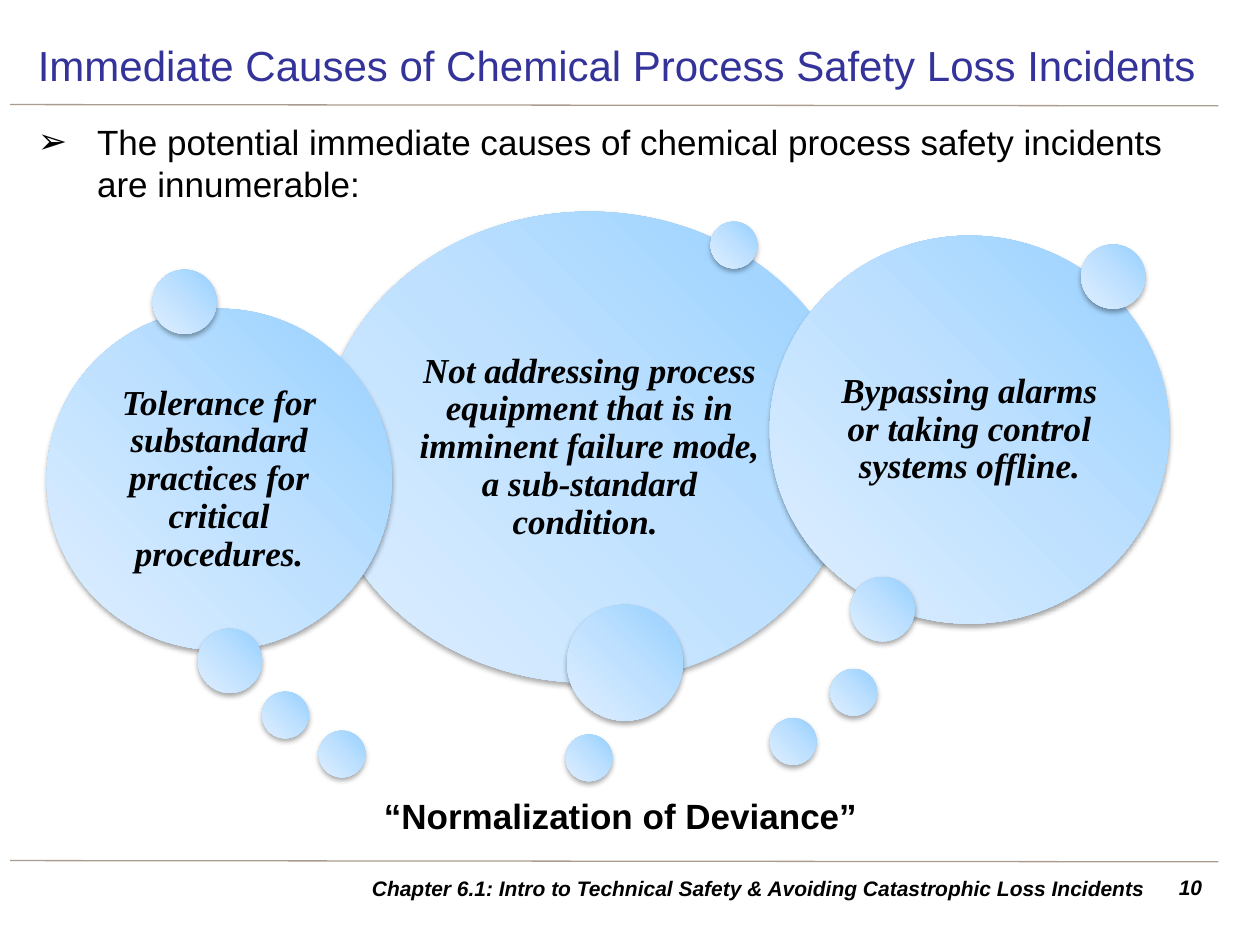
from typing import NamedTuple

from lxml import etree
from pptx import Presentation
from pptx import util as u
from pptx.dml.color import RGBColor
from pptx.enum import shapes, text
from pptx.oxml.ns import qn

INK = {"title": "333399", "text": "000000", "rule": "AA9C8F", "shadow": "000000"}
SKY = {0: "96D0FF", 50: "BFE1FF", 100: "E0EFFF"}
SMALL, MID, LARGE = 0.37, 0.51, 0.92


class Bubble(NamedTuple):
    left: float
    top: float
    width: float
    height: float
    words: str = ""


def dot(left: float, top: float, size: float = SMALL) -> Bubble:
    return Bubble(left, top, size, size)


# Back to front
BUBBLES = [
    Bubble(2.55, 1.68, 4.26, 3.74, "Not addressing process equipment that is in "
           "imminent failure mode, a sub-standard condition. "),
    dot(4.49, 5.83),
    dot(5.64, 1.76),
    dot(2.53, 5.8),
    Bubble(0.37, 2.45, 2.74, 2.71,
           "Tolerance for substandard practices for critical procedures."),
    dot(1.21, 2.14, MID),
    dot(4.5, 4.8, LARGE),
    Bubble(6.11, 1.87, 3.17, 3.08,
           "Bypassing alarms or taking control systems offline."),
    dot(6.75, 4.58, MID),
    dot(6.11, 5.7),
    dot(6.59, 5.31),
    dot(1.57, 4.99, MID),
    dot(8.58, 1.94, MID),
    dot(2.08, 5.49),
]


def node(parent, tag: str, **attrs):
    return etree.SubElement(parent, qn(tag), {k: str(v) for k, v in attrs.items()})


def place(shape, left: float, top: float, width: float, height: float) -> None:
    shape.left, shape.top = u.Inches(left), u.Inches(top)
    shape.width, shape.height = u.Inches(width), u.Inches(height)


def write(shape, words: str, size: int = 20, face: str = "Arial", ink: str = "text",
          bold: bool = False, italic: bool = False, align: str = "LEFT",
          anchor: str = "TOP", lines: float = 1.0, bullet: str = "",
          inset: tuple = (0.1, 0.05)) -> None:
    frame = shape.text_frame
    frame.word_wrap = True
    frame.auto_size = text.MSO_AUTO_SIZE.NONE
    frame.vertical_anchor = text.MSO_ANCHOR[anchor]
    frame.margin_left = frame.margin_right = u.Inches(inset[0])
    frame.margin_top = frame.margin_bottom = u.Inches(inset[1])
    para = frame.paragraphs[0]
    para.alignment = text.PP_ALIGN[align]
    para.line_spacing = lines
    para.space_before = u.Pt(0)
    if bullet:
        props = para._p.get_or_add_pPr()
        props.set("marL", str(u.Inches(0.47)))
        props.set("indent", str(-u.Inches(0.47)))
        node(props, "a:buChar", char=bullet)
    run = para.add_run()
    run.text = words
    font = run.font
    font.size, font.name = u.Pt(size), face
    font.bold, font.italic = bold, italic
    font.color.rgb = RGBColor.from_string(INK[ink])


def label(slide, box: tuple, words: str, **form) -> None:
    write(slide.shapes.add_textbox(*map(u.Inches, box)), words, **form)


def rule(slide, top: float) -> None:
    ends = map(u.Inches, (0.08, top, 9.67, top + 0.01))
    line = slide.shapes.add_connector(shapes.MSO_CONNECTOR.STRAIGHT, *ends)
    line.line.color.rgb = RGBColor.from_string(INK["rule"])
    line.line.width = u.Pt(0.75)
    node(line._element.spPr, "a:effectLst")


def draw(slide, item: Bubble) -> None:
    shape = slide.shapes.add_shape(shapes.MSO_SHAPE.OVAL, *map(u.Inches, item[:4]))
    shape.line.fill.background()

    # Diagonal gradient, dark at top right
    shape.fill.gradient()
    shape.fill.gradient_angle = 225
    props = shape._element.spPr
    stops = props.find(qn("a:gradFill")).find(qn("a:gsLst"))
    for old in list(stops):
        stops.remove(old)
    for pos, tone in SKY.items():
        node(node(stops, "a:gs", pos=pos * 1000), "a:srgbClr", val=tone)

    # Soft shadow straight below
    shadow = node(node(props, "a:effectLst"), "a:outerShdw", blurRad=u.Pt(3.1),
                  dist=u.Pt(1.8), dir=90 * 60000, rotWithShape=0)
    node(node(shadow, "a:srgbClr", val=INK["shadow"]), "a:alpha", val=35000)

    if item.words:
        write(shape, item.words, face="Times New Roman", bold=True, italic=True,
              align="CENTER", anchor="MIDDLE", lines=0.9, inset=(0.09, 0.08))


def main() -> None:
    deck = Presentation()
    deck.slide_width, deck.slide_height = u.Inches(10), u.Inches(7.5)
    slide = deck.slides.add_slide(deck.slide_layouts[1])

    # Rules, title and lead-in
    for top in (0.83, 6.83):
        rule(slide, top)
    title, body = slide.placeholders
    place(title, 0.2, 0.24, 9.45, 0.55)
    write(title, "Immediate Causes of Chemical Process Safety Loss Incidents",
          size=24, ink="title", anchor="MIDDLE")
    place(body, 0.2, 0.91, 9.45, 0.75)
    write(body, "The potential immediate causes of chemical process safety "
          "incidents are innumerable:", bullet="➢")

    # Thought bubbles and what they lead to
    for item in BUBBLES:
        draw(slide, item)
    label(slide, (0.2, 6.25, 9.45, 0.44), "“Normalization of Deviance”",
          bold=True, align="CENTER", anchor="MIDDLE")

    # Footer
    foot = dict(size=12, bold=True, italic=True)
    label(slide, (2.83, 6.89, 6.38, 0.31), "Chapter 6.1: Intro to Technical Safety "
          "& Avoiding Catastrophic Loss Incidents", align="CENTER",
          anchor="MIDDLE", **foot)
    label(slide, (9.06, 6.89, 0.58, 0.31), "10", align="RIGHT", **foot)

    deck.save("out.pptx")


if __name__ == "__main__":
    main()
